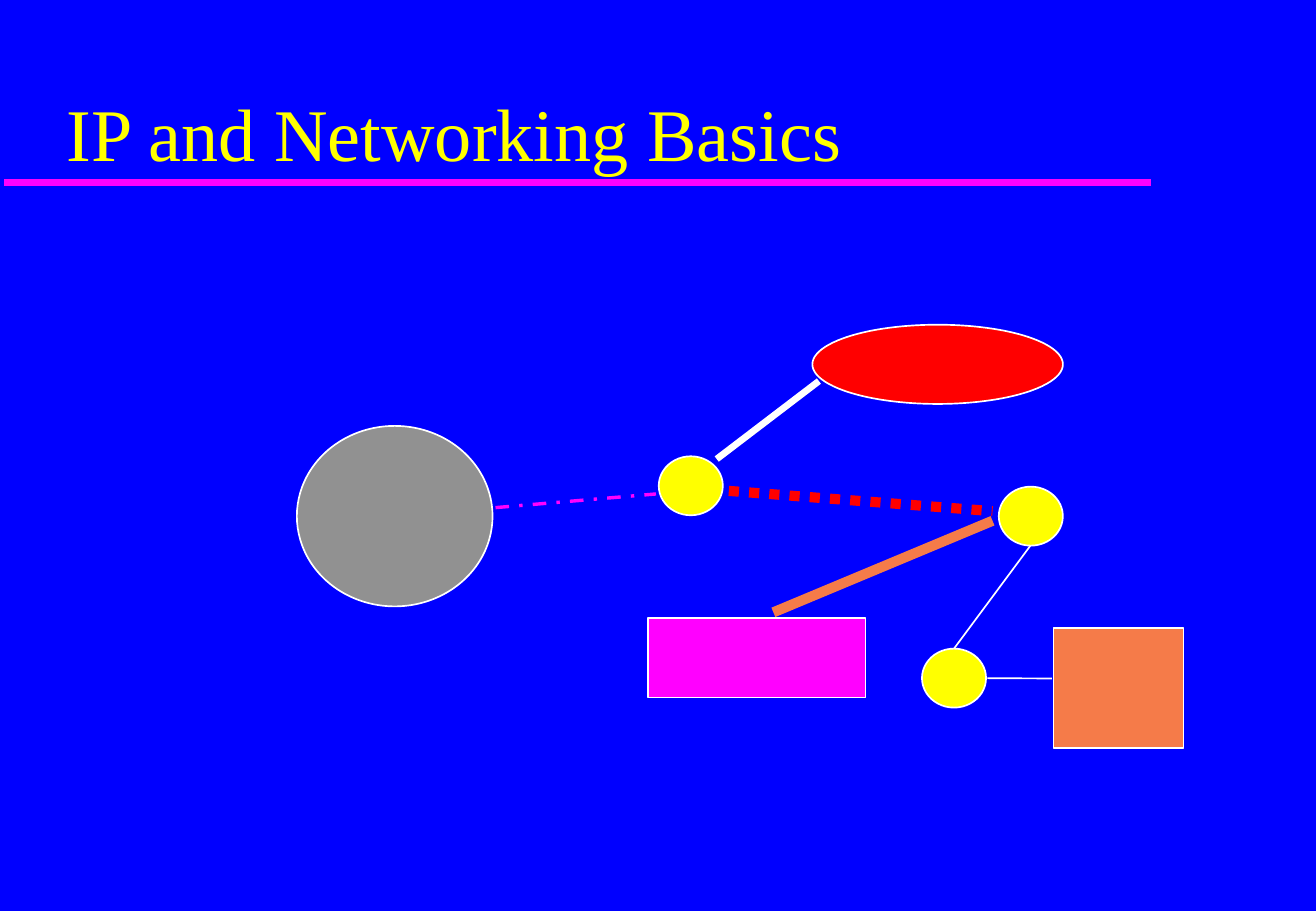
"""Build the "IP and Networking Basics" slide on a grid of 130 columns by 90 rows."""
from lxml import etree
from pptx import Presentation, util as u
from pptx.dml.color import RGBColor
from pptx.enum import dml, shapes, text
from pptx.oxml.ns import qn

BLUE = RGBColor(0x00, 0x00, 0xFF)
YELLOW = RGBColor(0xFF, 0xFF, 0x00)
MAGENTA = RGBColor(0xFF, 0x00, 0xFF)
WHITE = RGBColor(0xFF, 0xFF, 0xFF)
GREY = RGBColor(0x91, 0x91, 0x91)
RED = RGBColor(0xFF, 0x00, 0x00)
ORANGE = RGBColor(0xF5, 0x7B, 0x49)

OVAL = shapes.MSO_SHAPE.OVAL
BOX = shapes.MSO_SHAPE.RECTANGLE
DASH = dml.MSO_LINE
COLS, ROWS = 130, 90
CELL = u.Inches(1 / 12)


def grid(*cells):
    """Turn grid cells into lengths."""
    return [round(c * CELL) for c in cells]


prs = Presentation()
prs.slide_width, prs.slide_height = grid(COLS, ROWS)
s = prs.slides.add_slide(prs.slide_layouts[5])
s.background.fill.solid()
s.background.fill.fore_color.rgb = BLUE

title = s.shapes.title
title.left, title.top, title.width, title.height = grid(5.4, 0.5, 110.5, 17.5)
tf = title.text_frame
tf.word_wrap = True
tf.auto_size = text.MSO_AUTO_SIZE.NONE
tf.vertical_anchor = text.MSO_ANCHOR.BOTTOM
tf.margin_left = tf.margin_right = u.Inches(0.1)
tf.margin_top = tf.margin_bottom = u.Inches(0.05)
p = tf.paragraphs[0]
p.alignment = text.PP_ALIGN.LEFT
r = p.add_run()
r.text = "IP and Networking Basics"
r.font.name = "Times New Roman"
r.font.size = u.Pt(44)
r.font.color.rgb = YELLOW

ROUTER = (6.33, 5.83)
nodes = {}
for name, kind, place, size, color in [
    ("grey network", OVAL, (29.33, 42.08), (19.33, 17.83), GREY),
    ("red network", OVAL, (80.25, 32.08), (24.75, 7.83), RED),
    ("orange network", BOX, (104.08, 62.08), (12.83, 11.83), ORANGE),
    ("magenta network", BOX, (64, 61.08), (21.5, 7.83), MAGENTA),
    ("left router", OVAL, (65.08, 45.08), ROUTER, YELLOW),
    ("lower router", OVAL, (91.08, 64.08), ROUTER, YELLOW),
    ("right router", OVAL, (98.67, 48.08), ROUTER, YELLOW),
]:
    sp = s.shapes.add_shape(kind, *grid(*place, *size))
    sp.shadow.inherit = False
    sp.fill.solid()
    sp.fill.fore_color.rgb = color
    sp.line.color.rgb = WHITE
    sp.line.width = u.Pt(1)
    nodes[name] = sp

links = {}
for name, start, end, color, width, dash in [
    ("title rule", (0.4, 18), (113.75, 18), MAGENTA, 4, None),
    ("grey link", (48.95, 50.15), (64.8, 48.8), MAGENTA, 2, DASH.DASH_DOT),
    ("red link", (70.8, 45.35), (80.9, 37.65), WHITE, 4, None),
    ("router link", (72, 48.5), (98.05, 50.5), RED, 6, DASH.ROUND_DOT),
    ("magenta link", (76.4, 60.5), (98.05, 51.45), ORANGE, 6, None),
    ("orange link", (97.55, 67), (103.9, 67.03), WHITE, 1, None),
    ("lower link", (94.25, 64.08), (101.8, 53.9), WHITE, 1, None),
]:
    link = s.shapes.add_connector(shapes.MSO_CONNECTOR.STRAIGHT, *grid(*start, *end))
    link.line.color.rgb = color
    link.line.width = u.Pt(width)
    if dash:
        link.line.dash_style = dash
    etree.SubElement(link._element.spPr, qn("a:effectLst"))
    links[name] = link

links["lower link"].begin_connect(nodes["lower router"], 0)

prs.save("out.pptx")
